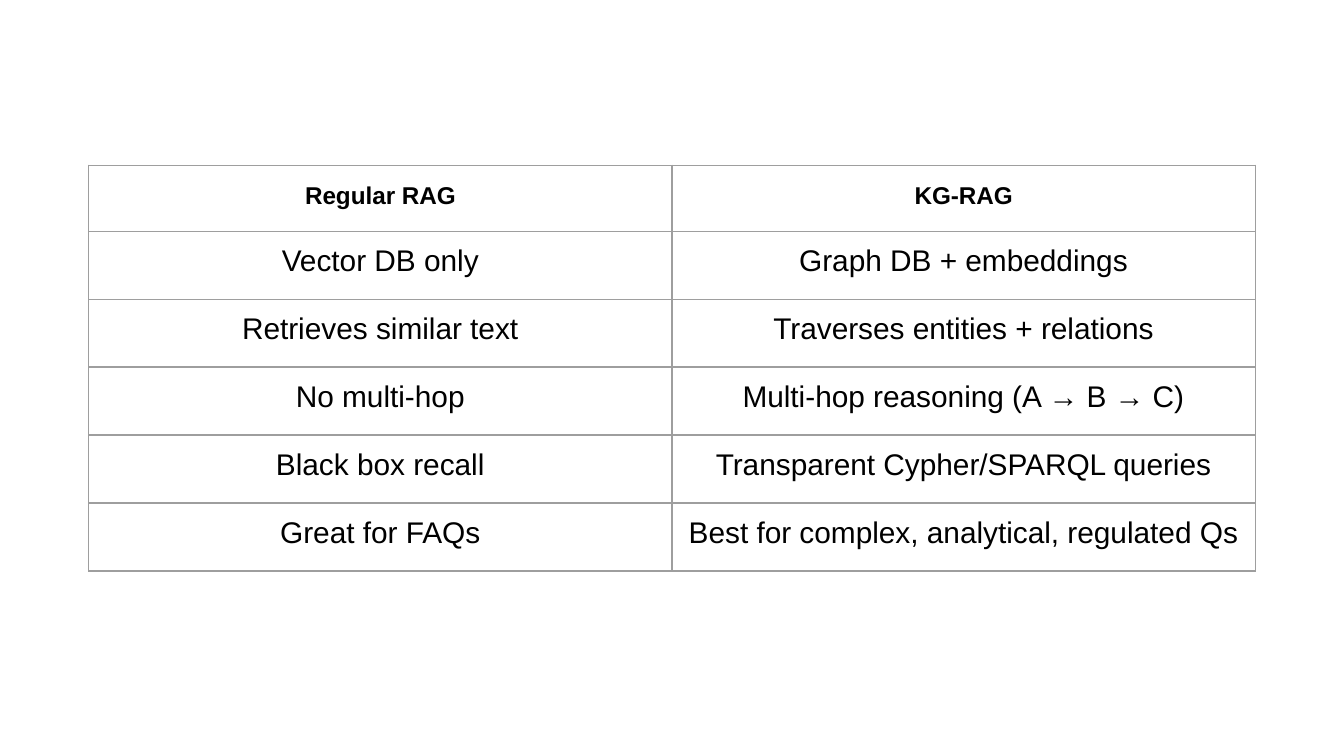
from lxml import etree
from pptx import Presentation, util as u
from pptx.dml.color import RGBColor
from pptx.enum import text
from pptx.oxml import ns

BLACK = RGBColor(0x00, 0x00, 0x00)
GRAY = RGBColor(0x9E, 0x9E, 0x9E)

ROWS = [
    ("Regular RAG", "KG-RAG"),
    ("Vector DB only", "Graph DB + embeddings"),
    ("Retrieves similar text", "Traverses entities + relations"),
    ("No multi-hop", "Multi-hop reasoning (A → B → C)"),
    ("Black box recall", "Transparent Cypher/SPARQL queries"),
    ("Great for FAQs", "Best for complex, analytical, regulated Qs"),
]
HEADER = {"size": u.Pt(13), "bold": True, "name": "Arial"}
BODY = {"size": u.Pt(16), "bold": False, "name": "Arial"}
INSET = u.Inches(0.1)
CELL = {
    "margin_left": INSET,
    "margin_right": INSET,
    "margin_top": INSET,
    "margin_bottom": INSET,
    "vertical_anchor": text.MSO_ANCHOR.TOP,
}


def add_borders(cell):
    tcPr = cell._tc.get_or_add_tcPr()
    for side in ("lnL", "lnR", "lnT", "lnB"):
        ln = etree.SubElement(tcPr, ns.qn(f"a:{side}"), w=str(u.Pt(0.75)))
        fill = etree.SubElement(ln, ns.qn("a:solidFill"))
        etree.SubElement(fill, ns.qn("a:srgbClr"), val=str(GRAY))


prs = Presentation()
prs.slide_width = u.Inches(10)
prs.slide_height = prs.slide_width * 9 // 16
s = prs.slides.add_slide(prs.slide_layouts[6])

col_w = u.Inches(4.34)
header_h = u.Inches(0.49)
row_h = int(prs.slide_height * 0.09)
width = 2 * col_w
height = header_h + (len(ROWS) - 1) * row_h
left = (prs.slide_width - width) // 2
table = s.shapes.add_table(len(ROWS), 2, left, u.Inches(1.23), width, height).table
table.first_row = table.horz_banding = False

for col in table.columns:
    col.width = col_w

for i, labels in enumerate(ROWS):
    table.rows[i].height = row_h if i else header_h
    for j, label in enumerate(labels):
        cell = table.cell(i, j)
        for key, value in CELL.items():
            setattr(cell, key, value)
        add_borders(cell)
        cell.fill.background()
        p = cell.text_frame.paragraphs[0]
        p.alignment = text.PP_ALIGN.CENTER
        p.line_spacing = 1.0 if i else 1.15
        r = p.add_run()
        r.text = label
        for key, value in (BODY if i else HEADER).items():
            setattr(r.font, key, value)
        r.font.color.rgb = BLACK

prs.save("out.pptx")
